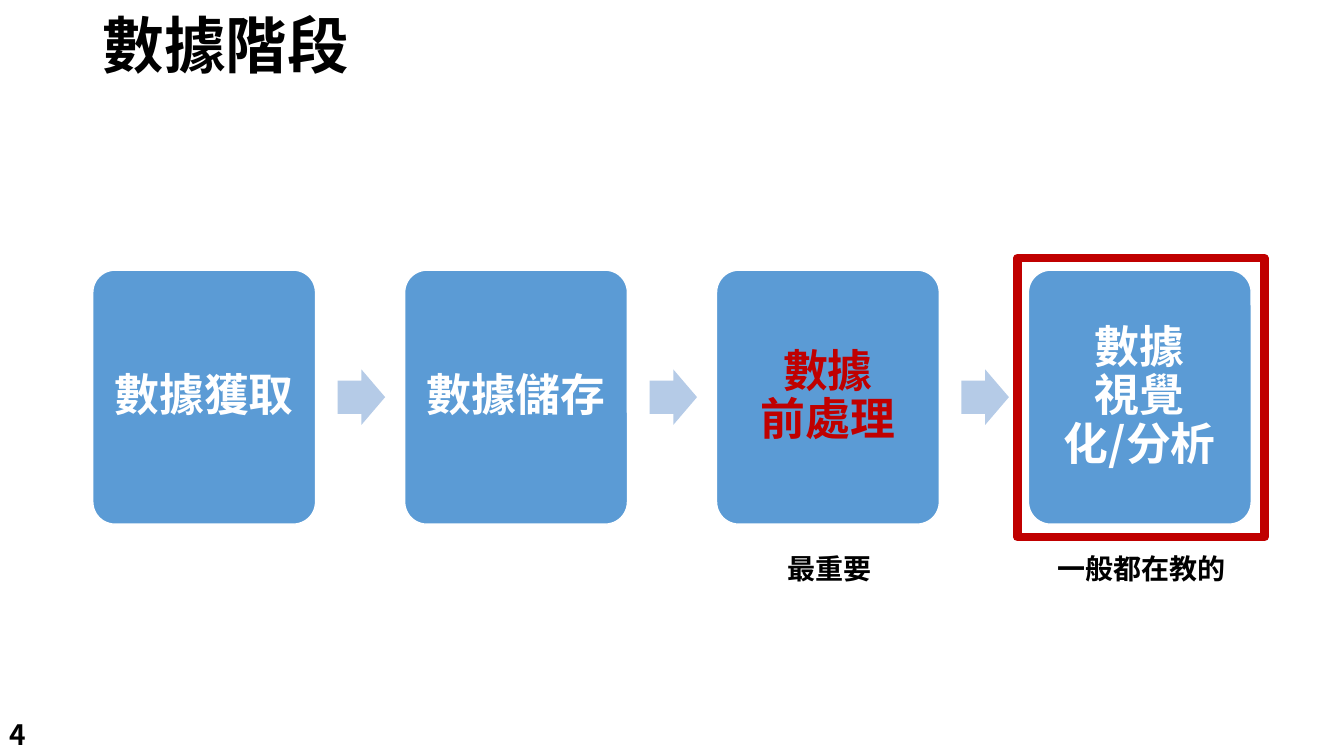
from pptx import Presentation
from pptx.dml.color import RGBColor as RGB
from pptx.enum.shapes import MSO_SHAPE as SHAPE
from pptx.enum.text import MSO_ANCHOR as ANCHOR, PP_ALIGN as ALIGN
from pptx.util import Inches, Pt
from lxml.etree import SubElement
from pptx.oxml.ns import qn

BLUE = RGB(0x5B, 0x9B, 0xD5)
PALE = RGB(0xB5, 0xCB, 0xE7)
RED = RGB(0xC0, 0x00, 0x00)
WHITE = RGB(0xFF, 0xFF, 0xFF)
BLACK = RGB(0x00, 0x00, 0x00)
FONT = "Noto Sans CJK SC"

STAGES = [
    ("數據獲取", WHITE, ""),
    ("數據儲存", WHITE, ""),
    ("數據\v前處理", RED, "最重要"),
    ("數據\v視覺化/分析", WHITE, "一般都在教的"),
]


def write(shape, text, size, color, align, font=FONT, space=1.0):
    frame = shape.text_frame
    frame.text = text
    frame.word_wrap = True
    frame.vertical_anchor = ANCHOR.MIDDLE
    para = frame.paragraphs[0]
    para.alignment = align
    para.line_spacing = space
    for run in para.runs:
        run.font.size = Pt(size)
        run.font.bold = True
        run.font.name = font
        run.font.color.rgb = color
        SubElement(run.font._element, qn("a:ea")).set("typeface", FONT)


def add_text(slide, box, *style, **more):
    area = slide.shapes.add_textbox(*map(Inches, box))
    write(area, *style, **more)


def add_form(slide, kind, box, fill=None, line=None, width=1):
    form = slide.shapes.add_shape(kind, *map(Inches, box))
    form.shadow.inherit = False
    if fill is None:
        form.fill.background()
    else:
        form.fill.solid()
        form.fill.fore_color.rgb = fill
    if line is None:
        form.line.fill.background()
    else:
        form.line.color.rgb = line
        form.line.width = Pt(width)
    return form


def add_stage(slide, box, text, color, note):
    left, top, width, height = box
    card = add_form(slide, SHAPE.ROUNDED_RECTANGLE, box, BLUE, WHITE)
    card.adjustments[0] = 0.1
    frame = card.text_frame
    frame.margin_left = frame.margin_right = Inches(0.13)
    frame.margin_top = frame.margin_bottom = Inches(0.13)
    write(card, text, 32, color, ALIGN.CENTER, space=0.9)
    if note:
        add_text(slide, (left - 0.03, top + height + 0.22, width + 0.1, 0.44),
                 note, 20, BLACK, ALIGN.CENTER)


def add_flow(slide, box):
    left, top, width, height = box
    card = 2.21
    step = (width - card) / (len(STAGES) - 1)
    for i, stage in enumerate(STAGES):
        x = left + i * step
        add_stage(slide, (x, top, card, height), *stage)
        if i < len(STAGES) - 1:
            spot = (x + card + 0.22, top + (height - 0.55) / 2, 0.47, 0.55)
            arrow = add_form(slide, SHAPE.RIGHT_ARROW, spot, PALE)
            arrow.adjustments[0] = 0.6
            arrow.adjustments[1] = 0.5
    add_form(slide, SHAPE.RECTANGLE,
             (x - 0.11, top - 0.12, card + 0.24, height + 0.25),
             line=RED, width=6)


def main():
    deck = Presentation()
    deck.slide_width = Inches(13.33)
    deck.slide_height = Inches(7.5)
    slide = deck.slides.add_slide(deck.slide_layouts[6])
    add_text(slide, (0.92, 0, 11.5, 0.97), "數據階段", 44, BLACK,
             ALIGN.JUSTIFY, font="Arial", space=0.9)
    add_flow(slide, (0.92, 2.68, 11.49, 2.52))
    add_text(slide, (0, 7.08, 3, 0.4), "4", 20, BLACK, ALIGN.JUSTIFY)
    deck.save("out.pptx")


if __name__ == "__main__":
    main()
